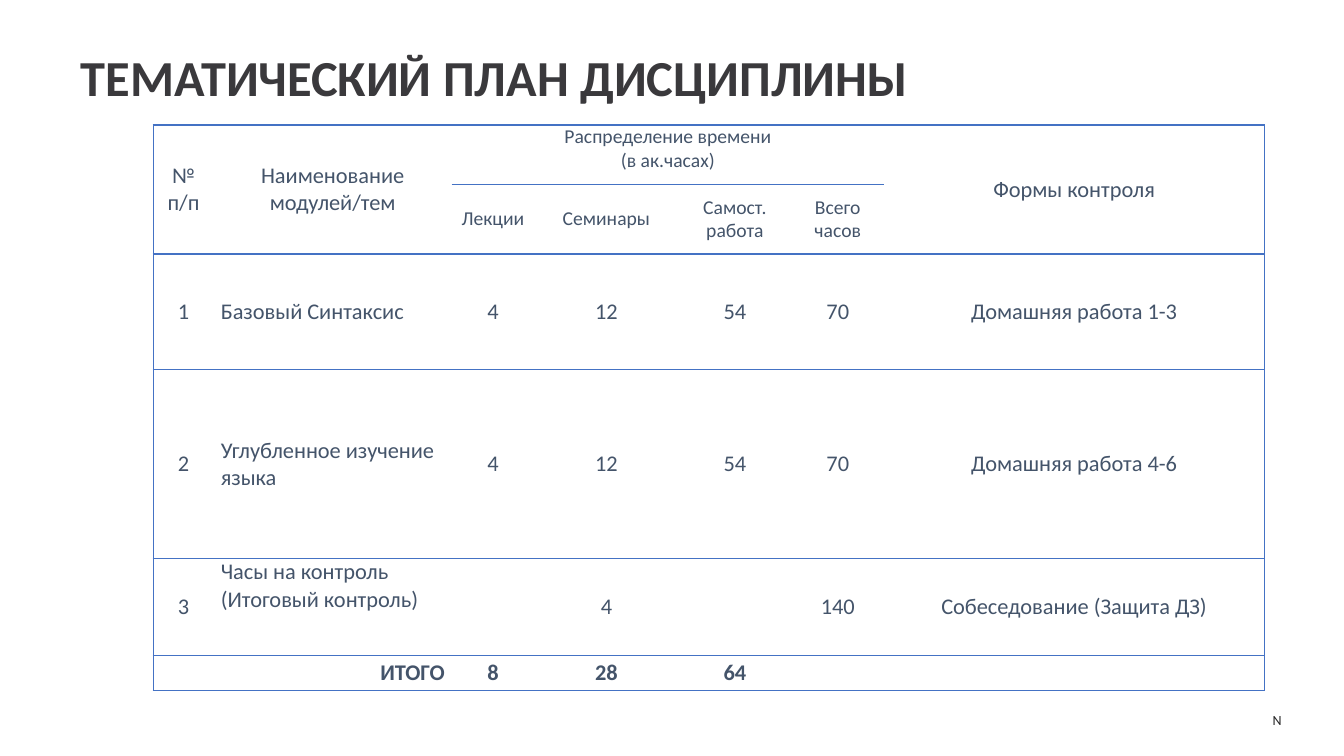
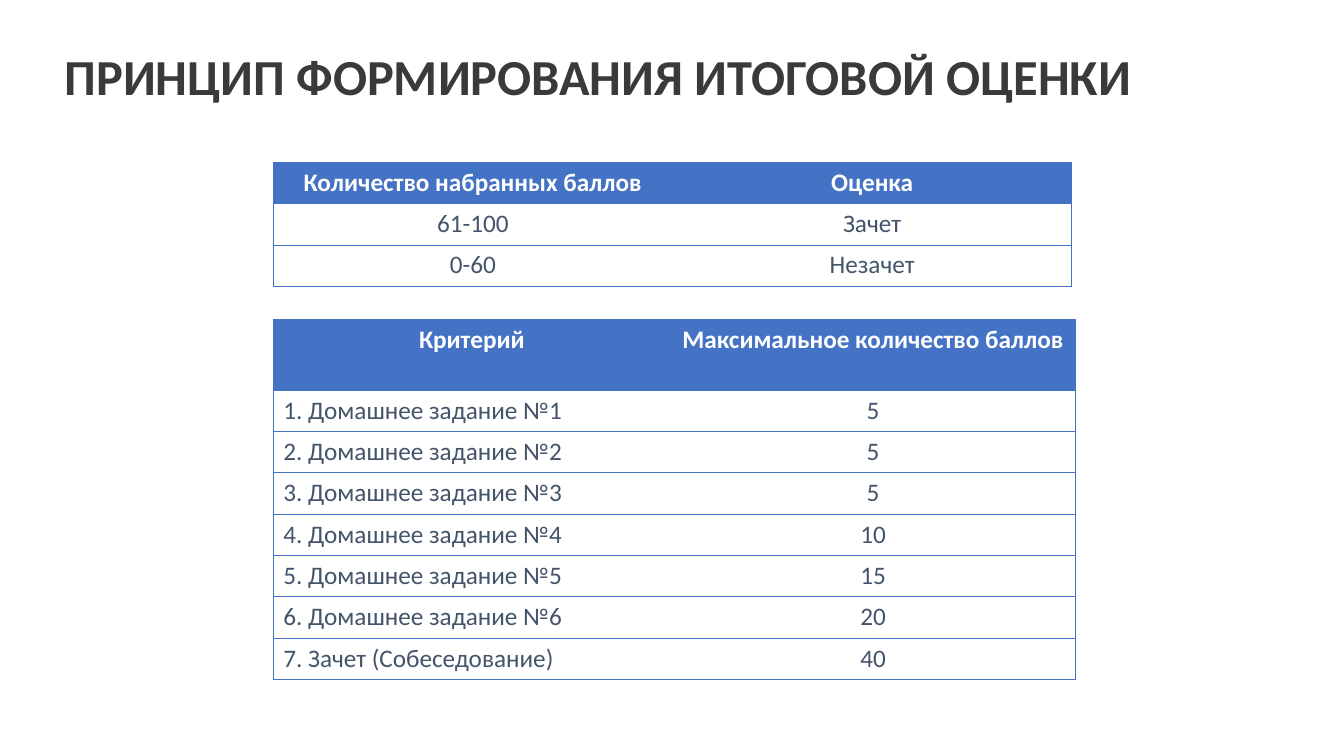
import lxml.etree
import pptx
import pptx.dml.color
import pptx.enum.text
import pptx.oxml.ns
import pptx.util

Inches = pptx.util.Inches
ALIGN = pptx.enum.text.PP_ALIGN
ANCHOR = pptx.enum.text.MSO_ANCHOR
FONT = "Calibri"
BLUE, WHITE, SLATE = "4472C4", "FFFFFF", "44546A"
TITLE_INK, NUMBER_INK = "3A393C", "242425"


def color(value):
    return pptx.dml.color.RGBColor.from_string(value)


def set_paragraph(para, size, ink, bold=False, align=ALIGN.LEFT):
    para.alignment = align
    font = para.font
    font.name, font.size, font.bold = FONT, pptx.util.Pt(size), bold
    font.color.rgb = color(ink)


def add_text(page, box, text, size, ink, bold=False, align=ALIGN.LEFT):
    frame = page.shapes.add_textbox(*map(Inches, box)).text_frame
    frame.word_wrap = True
    frame.margin_left = frame.margin_right = 0
    frame.margin_top = frame.margin_bottom = 0
    frame.text = text
    set_paragraph(frame.paragraphs[0], size, ink, bold, align)
    return frame


def add_title(page, left, top, text):
    frame = add_text(page, (left, top, 11.56, 1.09), text, 36, TITLE_INK, True)
    frame.paragraphs[0].line_spacing = 0.9


def add_number(page):
    frame = add_text(page, (11.76, 7.01, 0.95, 0.22), "N", 10, NUMBER_INK,
                     align=ALIGN.RIGHT)
    frame.vertical_anchor = ANCHOR.BOTTOM


def set_borders(cell, sides, width):
    """Draw the given sides (letters of LRTB) in blue and clear the others."""
    props = cell._tc.get_or_add_tcPr()
    for index, side in enumerate("LRTB"):
        line = lxml.etree.Element(pptx.oxml.ns.qn("a:ln" + side))
        if side in sides:
            line.set("w", str(pptx.util.Pt(width)))
            fill = lxml.etree.SubElement(line, pptx.oxml.ns.qn("a:solidFill"))
            lxml.etree.SubElement(fill, pptx.oxml.ns.qn("a:srgbClr"), val=BLUE)
        else:
            lxml.etree.SubElement(line, pptx.oxml.ns.qn("a:noFill"))
        props.insert(index, line)


def add_ruled_table(page, left, top, widths, heights, rows, style, line_width,
                    merges=()):
    """Add a table with horizontal rules and an outer frame.

    style(row, column) gives size, ink, bold, alignment, anchor, fill, margins.
    """
    table = page.shapes.add_table(
        len(heights), len(widths), Inches(left), Inches(top),
        Inches(sum(widths)), Inches(sum(heights))).table
    table.first_row = table.horz_banding = False
    for column, width in zip(table.columns, widths):
        column.width = Inches(width)
    for row, height in zip(table.rows, heights):
        row.height = Inches(height)
    for first, last in merges:
        table.cell(*first).merge(table.cell(*last))

    for r, texts in enumerate(rows):
        for c, text in enumerate(texts):
            cell = table.cell(r, c)
            size, ink, bold, align, anchor, fill, margins = style(r, c)
            cell.text = text
            for para in cell.text_frame.paragraphs:
                set_paragraph(para, size, ink, bold, align)
            cell.vertical_anchor = anchor
            cell.margin_left = cell.margin_right = Inches(margins[0])
            cell.margin_top = cell.margin_bottom = Inches(margins[1])
            cell.fill.solid()
            cell.fill.fore_color.rgb = color(fill)
            sides = "TB" + "L" * (c == 0) + "R" * (c == len(widths) - 1)
            set_borders(cell, "" if cell.is_spanned else sides, line_width)


def plan_style(row, column):
    header, total = row < 2, row == 5
    size = 14 if header and 2 <= column <= 5 else 16
    align = ALIGN.CENTER
    if column == 1 and not header:
        align = ALIGN.RIGHT if total else ALIGN.LEFT
    at_top = (row, column) in ((0, 2), (4, 1))
    anchor = ANCHOR.TOP if at_top else ANCHOR.MIDDLE
    return size, SLATE, total, align, anchor, WHITE, (0.07, 0)


def grade_style(row, column, first_align=ALIGN.CENTER):
    header = row == 0
    align = ALIGN.CENTER if header or column else first_align
    return (18, WHITE if header else SLATE, header, align, ANCHOR.TOP,
            BLUE if header else WHITE, (0.1, 0.05))


def criteria_style(row, column):
    return grade_style(row, column, ALIGN.LEFT)


def add_plan_slide(page):
    add_title(page, 0.8, 0.53, "ТЕМАТИЧЕСКИЙ ПЛАН ДИСЦИПЛИНЫ")
    add_number(page)
    rows = [
        ["№ п/п", "Наименование модулей/тем",
         "Распределение времени\n(в ак.часах)", "", "", "", "Формы контроля"],
        ["", "", "Лекции", "Семинары", "Самост. работа", "Всего часов", ""],
        ["1", "Базовый Синтаксис", "4", "12", "54", "70",
         "Домашняя работа 1-3"],
        ["2", "Углубленное изучение языка", "4", "12", "54", "70",
         "Домашняя работа 4-6"],
        ["3", "Часы на контроль (Итоговый контроль)", "", "4", "", "140",
         "Собеседование (Защита ДЗ)"],
        ["", "ИТОГО", "8", "28", "64", "", ""],
    ]
    merges = [((0, c), (1, c)) for c in (0, 1, 6)] + [((0, 2), (0, 5))]
    add_ruled_table(page, 1.52, 1.24,
                    [0.6, 2.36, 0.82, 1.43, 1.12, 0.92, 3.77],
                    [0.59, 0.69, 1.15, 1.87, 0.96, 0.35],
                    rows, plan_style, 1, merges)


def add_grading_slide(page):
    add_title(page, 0.64, 0.52, "ПРИНЦИП ФОРМИРОВАНИЯ ИТОГОВОЙ ОЦЕНКИ")
    left, row_height = 2.71, 0.41
    grades = [["Количество набранных баллов", "Оценка"],
              ["61-100", "Зачет"], ["0-60", "Незачет"]]
    add_ruled_table(page, left, 1.61, [3.96] * 2, [row_height] * len(grades),
                    grades, grade_style, 0.5)

    points = [5, 5, 5, 10, 15, 20]
    criteria = [["Критерий", "Максимальное количество баллов"]]
    criteria += [[f"{n}. Домашнее задание №{n}", str(value)]
                 for n, value in enumerate(points, 1)]
    criteria.append(["7. Зачет (Собеседование)", "40"])
    add_ruled_table(page, left, 3.17, [3.94, 4.02],
                    [0.7] + [row_height] * (len(criteria) - 1),
                    criteria, criteria_style, 0.5)


def main():
    deck = pptx.Presentation()
    deck.slide_width, deck.slide_height = Inches(13.33), Inches(7.5)
    for build in (add_plan_slide, add_grading_slide):
        build(deck.slides.add_slide(deck.slide_layouts[6]))
    deck.save("out.pptx")


if __name__ == "__main__":
    main()
